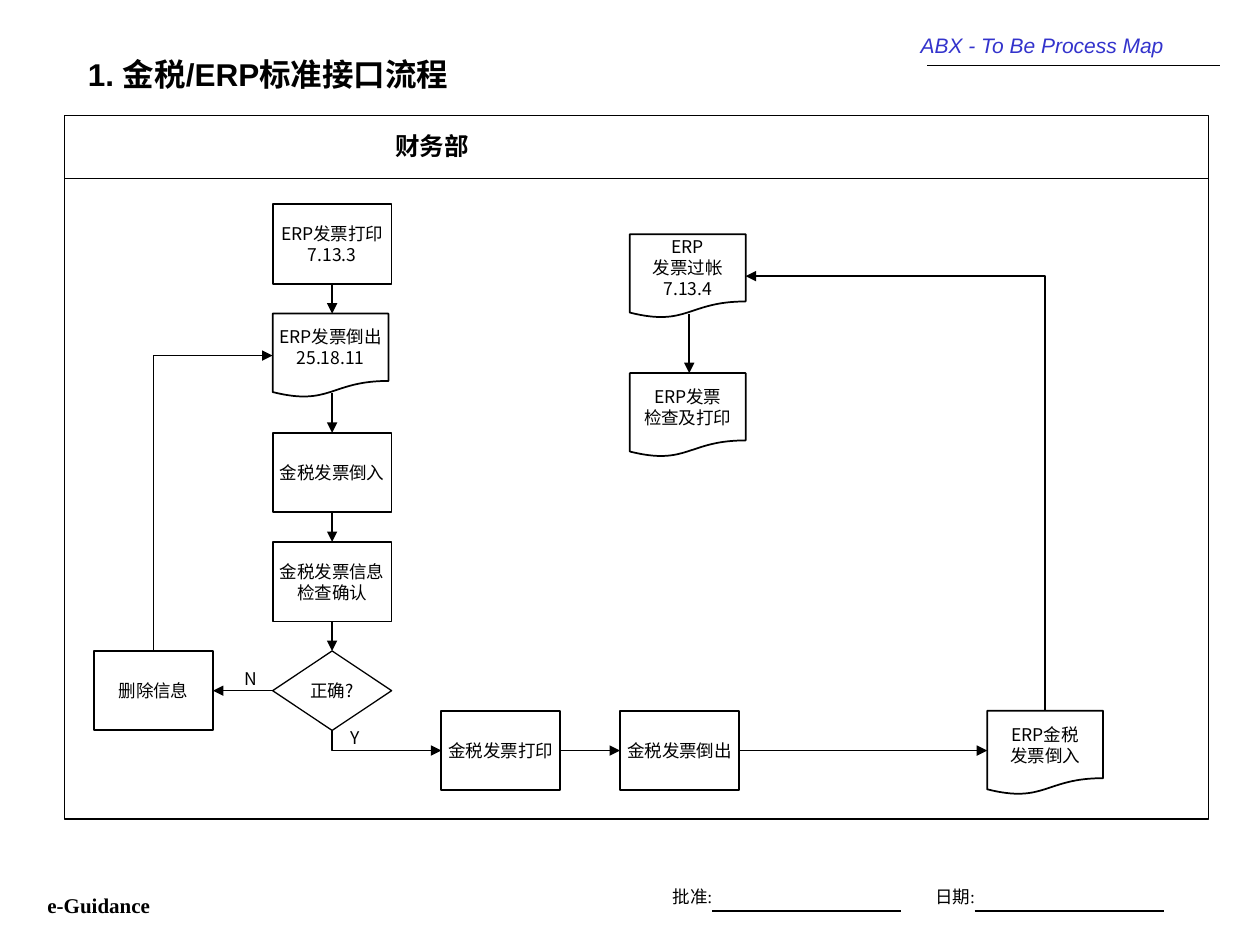
import pptx
import pptx.dml.color
import pptx.enum.shapes
import pptx.enum.text
import pptx.oxml.ns
import pptx.util
from lxml import etree

Pt = pptx.util.Pt
Shape = pptx.enum.shapes.MSO_SHAPE
Link = pptx.enum.shapes.MSO_CONNECTOR
Anchor = pptx.enum.text.MSO_ANCHOR
Align = pptx.enum.text.PP_ALIGN
Fit = pptx.enum.text.MSO_AUTO_SIZE
qn = pptx.oxml.ns.qn

BLACK = pptx.dml.color.RGBColor(0x00, 0x00, 0x00)
BLUE = pptx.dml.color.RGBColor(0x33, 0x33, 0xCC)
CJK = "Noto Sans CJK SC"
TOP, LEFT, BOTTOM, RIGHT = range(4)


def write_text(frame, text, size=10, font=CJK, color=BLACK, bold=False,
               italic=False, align=Align.LEFT, anchor=Anchor.TOP, wrap=False,
               fit=Fit.NONE):
    frame.word_wrap = wrap
    frame.auto_size = fit
    frame.vertical_anchor = anchor
    for index, line in enumerate(text.split("\n")):
        paragraph = frame.add_paragraph() if index else frame.paragraphs[0]
        paragraph.alignment = align
        run = paragraph.add_run()
        run.text = line
        run.font.size = Pt(size)
        run.font.name = font
        run.font.bold = bold
        run.font.italic = italic
        run.font.color.rgb = color
        properties = run._r.get_or_add_rPr()
        etree.SubElement(properties, qn("a:ea")).set("typeface", CJK)


class FlowSlide:
    box_size = (68, 45.4)
    document_size = (66.2, 48)

    def __init__(self, slide):
        self.slide = slide

    def label(self, text, left, top, width, height, fit=Fit.SHAPE_TO_FIT_TEXT, **style):
        box = self.slide.shapes.add_textbox(Pt(left), Pt(top), Pt(width), Pt(height))
        write_text(box.text_frame, text, fit=fit, **style)

    def node(self, kind, left, top, size, text="", weight=1):
        shape = self.slide.shapes.add_shape(kind, Pt(left), Pt(top), *map(Pt, size))
        shape.shadow.inherit = False
        shape.fill.background()
        shape.line.color.rgb = BLACK
        shape.line.width = Pt(weight)
        if text:
            write_text(shape.text_frame, text, align=Align.CENTER, anchor=Anchor.MIDDLE)
        return shape

    def box(self, text, left, top):
        return self.node(Shape.RECTANGLE, left, top, self.box_size, text)

    def document(self, text, left, top):
        return self.node(Shape.FLOWCHART_DOCUMENT, left, top, self.document_size, text)

    def line(self, start, end, kind=Link.STRAIGHT, weight=0.75, arrow=False):
        connector = self.slide.shapes.add_connector(kind, *map(Pt, (*start, *end)))
        connector.line.color.rgb = BLACK
        connector.line.width = Pt(weight)
        if arrow:
            outline = connector.line._get_or_add_ln()
            etree.SubElement(outline, qn("a:tailEnd")).set("type", "triangle")
        etree.SubElement(connector._element.spPr, qn("a:effectLst"))
        return connector

    def arrow(self, start, end, source=None, target=None, weight=1):
        connector = self.line(start, end, weight=weight, arrow=True)
        if source:
            connector.begin_connect(*source)
        if target:
            connector.end_connect(*target)

    def corner_arrow(self, start, end):
        (x0, y0), (x1, y1) = start, end
        middle_x, middle_y = (x0 + x1) / 2, (y0 + y1) / 2
        half_rise, half_run = (y0 - y1) / 2, (x1 - x0) / 2
        connector = self.line((middle_x - half_rise, middle_y - half_run),
                              (middle_x + half_rise, middle_y + half_run),
                              kind=Link.ELBOW, weight=1, arrow=True)
        properties = connector._element.spPr
        properties.find(qn("a:xfrm")).set("rot", str(270 * 60000))
        properties.find(qn("a:prstGeom")).set("prst", "bentConnector2")


def main():
    deck = pptx.Presentation()
    deck.slide_width, deck.slide_height = Pt(720), Pt(540)
    flow = FlowSlide(deck.slides.add_slide(deck.slide_layouts[6]))

    flow.label("ABX - To Be Process Map", 519, 15.1, 154, 21.6,
               size=12, font="Arial", color=BLUE, italic=True)
    flow.line((530, 37.5), (697, 37.5))
    flow.label("e-Guidance", 20, 506.2, 76, 21.6,
               size=12, font="Times New Roman", bold=True)
    for caption, left in (("批准:", 377.3), ("日期:", 527.3)):
        flow.label(caption, left, 502.6, 48.2, 19.4, font="Times New Roman", wrap=True)
        flow.line((left + 29.6, 520.5), (left + 137.6, 520.5))

    flow.label("1. 金税/ERP标准接口流程", 43.2, 24.4, 436.3, 36, fit=Fit.NONE, size=18,
               font="Arial", bold=True, anchor=Anchor.MIDDLE, wrap=True)
    flow.node(Shape.RECTANGLE, 36.8, 66.1, (654, 402), weight=0.75)
    flow.line((36.8, 102.1), (690.8, 102.1))
    flow.label("财务部", 218.9, 71.3, 60, 24.5, size=14, bold=True)

    main_left, bottom_row = 155.8, 406.2
    axis = main_left + 34
    bottom_axis = bottom_row + 22.7
    invoice_print = flow.box("ERP发票打印\n7.13.3", main_left, 116.8)
    flow.document("ERP发票倒出\n25.18.11", main_left, 179.2)
    tax_import = flow.box("金税发票倒入", main_left, 247.4)
    tax_check = flow.box("金税发票信息\n检查确认", main_left, 309.7)
    decision = flow.node(Shape.FLOWCHART_DECISION, main_left, 372,
                         flow.box_size, "正确?", weight=0.75)
    delete = flow.box("删除信息", 53.7, 372)
    tax_print = flow.box("金税发票打印", 252.2, bottom_row)
    tax_export = flow.box("金税发票倒出", 354.3, bottom_row)
    flow.document("ERP金税\n发票倒入", 564.1, bottom_row)
    flow.document("ERP\n发票过帐\n7.13.4", 359.9, 133.8)
    flow.document("ERP发票\n检查及打印", 359.9, 213.2)
    flow.label("Y", 193, 411.8, 20.2, 19.4)
    flow.label("N", 132.5, 378, 21.6, 19.4)

    flow.arrow((axis, 162.2), (axis, 179.2), source=(invoice_print, BOTTOM), weight=0.75)
    flow.arrow((axis, 224.6), (axis, 247.4), target=(tax_import, TOP))
    flow.arrow((axis, 292.8), (axis, 309.7), (tax_import, BOTTOM), (tax_check, TOP))
    flow.arrow((axis, 355.1), (axis, 372), (tax_check, BOTTOM), (decision, TOP))
    flow.arrow((main_left, 394.7), (121.7, 394.7), (decision, LEFT), (delete, RIGHT),
               weight=0.75)
    flow.arrow((320.2, bottom_axis), (354.3, bottom_axis),
               (tax_print, RIGHT), (tax_export, LEFT))
    flow.arrow((422.3, bottom_axis), (564.1, bottom_axis), source=(tax_export, RIGHT))
    flow.arrow((393.9, 179.2), (393.9, 213.2))

    flow.corner_arrow((87.7, 372), (main_left, 203.2))
    flow.corner_arrow((axis, 417.4), (252.2, bottom_axis))
    flow.corner_arrow((597.2, bottom_row), (426.1, 157.8))

    deck.save("out.pptx")


if __name__ == "__main__":
    main()
